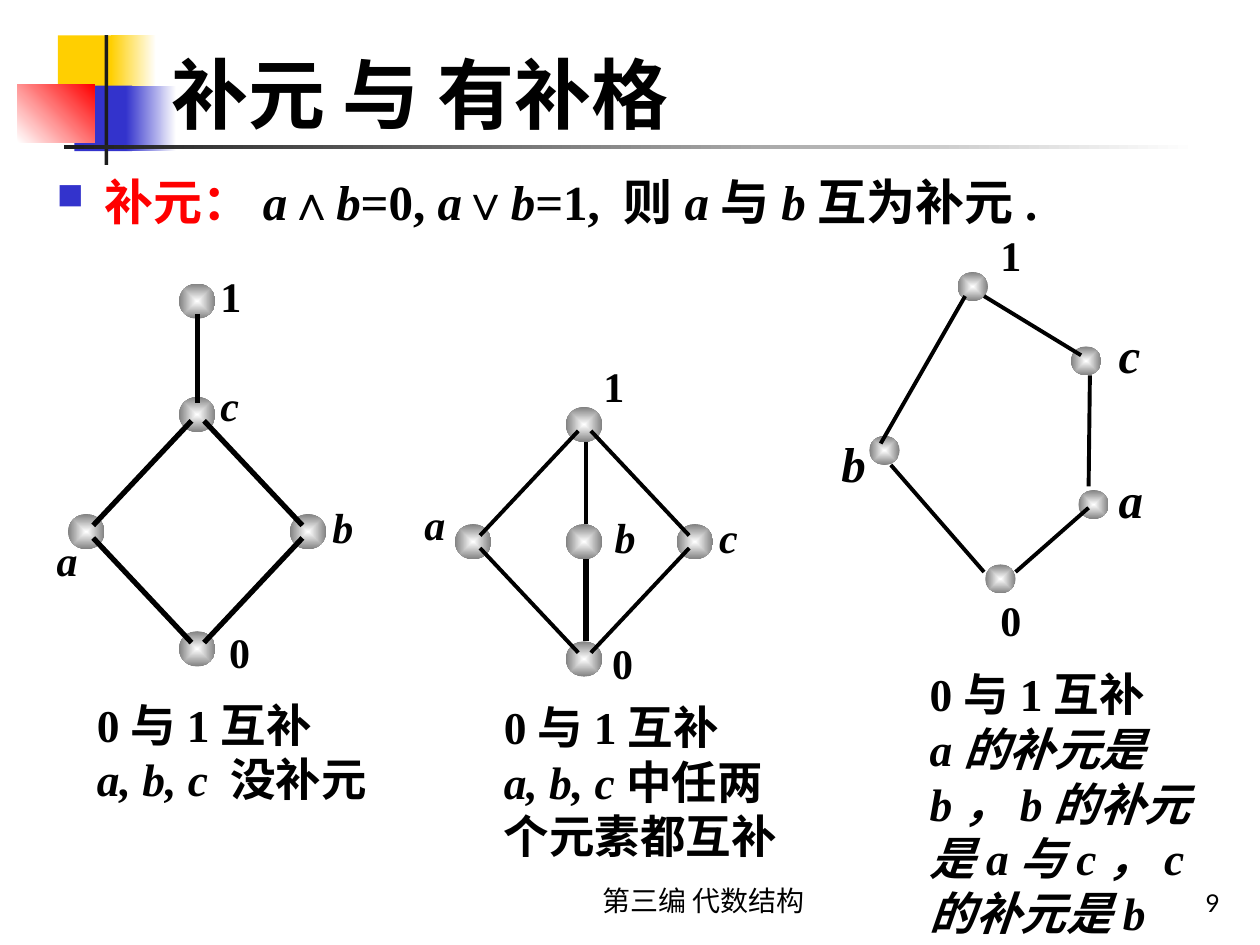
from dataclasses import dataclass
from typing import NamedTuple

from lxml import etree
from pptx import Presentation
from pptx.dml.color import RGBColor
from pptx.enum.shapes import MSO_CONNECTOR, MSO_SHAPE
from pptx.enum.text import MSO_ANCHOR, PP_ALIGN
from pptx.oxml import parse_xml
from pptx.oxml.ns import nsdecls, qn
from pptx.util import Inches, Pt

RECT, OVAL, STRAIGHT = MSO_SHAPE.RECTANGLE, MSO_SHAPE.OVAL, MSO_CONNECTOR.STRAIGHT
TOP, BOTTOM = MSO_ANCHOR.TOP, MSO_ANCHOR.BOTTOM
LEFT, CENTER, RIGHT = PP_ALIGN.LEFT, PP_ALIGN.CENTER, PP_ALIGN.RIGHT

BLACK = RGBColor(0x00, 0x00, 0x00)
INK = RGBColor(0x1C, 0x1C, 0x1C)
WHITE = RGBColor(0xFF, 0xFF, 0xFF)
GREY = RGBColor(0x80, 0x80, 0x80)
YELLOW = RGBColor(0xFF, 0xCF, 0x01)
BLUE = RGBColor(0x33, 0x33, 0xCC)
RED = RGBColor(0xFF, 0x00, 0x00)

SANS, SERIF = "Lato", "Times New Roman"
COLS, ROWS = 10, 7.5
SLIDE_W, SLIDE_H = Inches(COLS), Inches(ROWS)
STEP_X, STEP_Y = 0.88, 0.93


class Run(NamedTuple):
    text: str
    italic: bool = False
    color: RGBColor = BLACK


class Edge(NamedTuple):
    x1: float
    y1: float
    x2: float
    y2: float
    width: float = 2.25


class Label(NamedTuple):
    text: str
    x: float
    y: float
    size: float = 24


class Deco(NamedTuple):
    box: tuple
    colors: tuple
    angle: float = 0


@dataclass
class Text:
    box: tuple
    paragraphs: list
    size: float
    name: str = SERIF
    bold: bool = True
    anchor: MSO_ANCHOR = TOP
    align: PP_ALIGN = LEFT
    wrap: bool = True


@dataclass
class Lattice:
    nodes: list
    node_size: tuple
    edges: list
    labels: list
    wrap: bool = True


def place(*cells: float) -> list:
    """Turn alternating columns and rows into slide lengths."""
    units = SLIDE_W / COLS, SLIDE_H / ROWS
    return [round(c * units[i % 2]) for i, c in enumerate(cells)]


def add_filled(shapes, kind, box: tuple, colors: tuple, angle: float = 0):
    """Add an outline-free shape with a solid or gradient fill."""
    sp = shapes.add_shape(kind, *place(*box))
    sp.shadow.inherit = False
    sp.line.fill.background()
    if len(colors) == 1:
        sp.fill.solid()
        sp.fill.fore_color.rgb = colors[0]
    else:
        sp.fill.gradient()
        sp.fill.gradient_angle = angle
        for stop, position, color in zip(sp.fill.gradient_stops, (0, 1), colors):
            stop.position = position
            stop.color.rgb = color
    return sp


def add_node(shapes, box: tuple) -> None:
    """Add a ball shaded outward from its centre."""
    sp = add_filled(shapes, OVAL, box, (WHITE, GREY))
    grad = sp._element.spPr.find(qn("a:gradFill"))
    grad.replace(grad.find(qn("a:lin")), parse_xml(
        f'<a:path {nsdecls("a")} path="rect">'
        '<a:fillToRect l="50000" t="50000" r="50000" b="50000"/></a:path>'))


def add_edge(shapes, edge: Edge) -> None:
    """Add a black line between two points."""
    line = shapes.add_connector(STRAIGHT, *place(*edge[:4]))
    line.line.color.rgb = BLACK
    line.line.width = Pt(edge.width)
    etree.SubElement(line._element.spPr, qn("a:effectLst"))


def add_text(shapes, text: Text):
    """Add a text box and return its text frame."""
    tf = shapes.add_textbox(*place(*text.box)).text_frame
    tf.word_wrap, tf.vertical_anchor = text.wrap, text.anchor
    for i, runs in enumerate(text.paragraphs):
        p = tf.add_paragraph() if i else tf.paragraphs[0]
        p.alignment = text.align
        for run in runs:
            r = p.add_run()
            r.text = run.text
            style = {"size": Pt(text.size), "name": text.name,
                     "bold": text.bold, "italic": run.italic}
            for key, value in style.items():
                setattr(r.font, key, value)
            r.font.color.rgb = run.color
    return tf


def add_bullet(p) -> None:
    """Give a paragraph a hanging square bullet."""
    pPr = p._p.get_or_add_pPr()
    pPr.set("marL", str(Inches(0.38)))
    pPr.set("indent", str(-Inches(0.38)))
    for xml in (f'<a:buClr {{}}><a:srgbClr val="{BLUE}"/></a:buClr>',
                '<a:buSzPct {} val="75000"/>', '<a:buChar {} char="■"/>'):
        pPr.append(parse_xml(xml.format(nsdecls("a"))))


def add_lattice(shapes, lattice: Lattice) -> None:
    """Draw a lattice diagram as one group."""
    group = shapes.add_group_shape().shapes
    for node in lattice.nodes:
        add_node(group, (*node, *lattice.node_size))
    for edge in lattice.edges:
        add_edge(group, edge)
    for text, x, y, size in lattice.labels:
        box = (x, y, 0.49 if lattice.wrap else 0.38, size / 50 + 0.02)
        add_text(group, Text(box, [[Run(text, text.isalpha())]], size, wrap=lattice.wrap))


def diamond_nodes(x: float, y: float) -> list:
    """Give the top, left, right and bottom nodes of a diamond."""
    return [(x + c * STEP_X, y + r * STEP_Y) for c, r in ((1, 0), (0, 1), (2, 1), (1, 2))]


def diamond_edges(x: float, y: float, width: float) -> list:
    """Give the four sides of a diamond, trimmed near its nodes."""
    cx, cy, trim = x + 0.15 + STEP_X, y + 0.14 + STEP_Y, 0.05
    return [Edge(cx + sx * trim, cy + sy * (STEP_Y - trim),
                 cx + sx * (STEP_X - trim), cy + sy * trim, width)
            for sx in (-1, 1) for sy in (-1, 1)]


DECOS = [
    Deco((0.46, 0.28, 0.48, 0.52), (YELLOW,)),
    Deco((0.88, 0.28, 0.36, 0.52), (YELLOW, WHITE)),
    Deco((0.59, 0.68, 0.46, 0.52), (BLUE,)),
    Deco((1, 0.68, 0.4, 0.52), (BLUE, WHITE)),
    Deco((0.14, 0.67, 0.61, 0.46), (WHITE, RED), 45),
    Deco((0.83, 0.28, 0.03, 1.03), (INK,)),
    Deco((0.51, 1.15, 9, 0.03), (INK, WHITE)),
]

KITE, CROSS = (0.54, 3.15), (3.61, 3.23)
LATTICES = [
    Lattice([*diamond_nodes(*KITE), (1.42, 2.25)], (0.29, 0.28),
            [*diamond_edges(*KITE, 3), Edge(1.57, 2.49, 1.57, 3.2, 3)],
            [Label("1", 1.65, 2.1), Label("0", 1.72, 4.92), Label("a", 0.35, 4.19),
             Label("b", 2.54, 3.93), Label("c", 1.65, 2.96)]),
    Lattice([*diamond_nodes(*CROSS), (4.49, 4.16)], (0.29, 0.28),
            [*diamond_edges(*CROSS, 2.25), Edge(4.65, 3.51, 4.65, 4.16),
             Edge(4.65, 4.44, 4.65, 5.09, 3)],
            [Label("1", 4.69, 2.81), Label("0", 4.76, 5.01), Label("a", 3.27, 3.91),
             Label("c", 5.61, 4.01), Label("b", 4.78, 4.01)]),
    Lattice([(7.6, 2.16), (8.5, 2.75), (6.9, 3.46), (8.56, 3.89), (7.82, 4.48)], (0.24, 0.23),
            [Edge(7.81, 2.35, 8.58, 2.82), Edge(7.07, 3.69, 7.81, 4.54),
             Edge(8.06, 4.54, 8.64, 4.03), Edge(8.65, 2.98, 8.64, 3.86),
             Edge(7.66, 2.35, 6.99, 3.52)],
            [Label("a", 8.78, 3.68, 28), Label("c", 8.78, 2.53, 28), Label("b", 6.58, 3.39, 28),
             Label("0", 7.84, 4.67), Label("1", 7.84, 1.77)], wrap=False),
]

A, B = Run("a", True), Run("b", True)
DEFINITION = Text((0.35, 1.31, 9.29, 0.65), [[
    Run("补元：", color=RED), A, Run("∧"), B, Run("=0, "), A, Run("∨"), B,
    Run("=1, 则"), A, Run("与"), B, Run("互为补元.")]], 28)
BOUNDS = [Run("0与1互补")]
TEXTS = [
    Text((4, 6.83, 3.17, 0.5), [[Run("第三编 代数结构")]], 16, SANS, False, BOTTOM, CENTER),
    Text((7.7, 6.83, 2.08, 0.5), [[Run("9")]], 14, SANS, False, BOTTOM, RIGHT),
    Text((1.26, 0.08, 8.52, 1.07), [[Run("补元 与 有补格")]], 44, SANS, anchor=BOTTOM),
    Text((0.67, 5.48, 2.6, 0.97), [BOUNDS, [Run("a, b, c ", True), Run("没补元")]], 26),
    Text((3.9, 5.5, 2.76, 1.4),
         [BOUNDS, [Run("a, b, c", True), Run("中任两")], [Run("个元素都互补")]], 26),
    Text((7.28, 5.24, 2.28, 2.27),
         [BOUNDS, [Run("a的补元是b，b的补元是a与c，c的补元是b", True)]], 26),
]


def main() -> None:
    """Build the slide and save it."""
    prs = Presentation()
    prs.slide_width, prs.slide_height = SLIDE_W, SLIDE_H
    shapes = prs.slides.add_slide(prs.slide_layouts[6]).shapes
    for deco in DECOS:
        add_filled(shapes, RECT, *deco)
    add_bullet(add_text(shapes, DEFINITION).paragraphs[0])
    for lattice in LATTICES:
        add_lattice(shapes, lattice)
    for text in TEXTS:
        add_text(shapes, text)
    prs.save("out.pptx")


if __name__ == "__main__":
    main()
